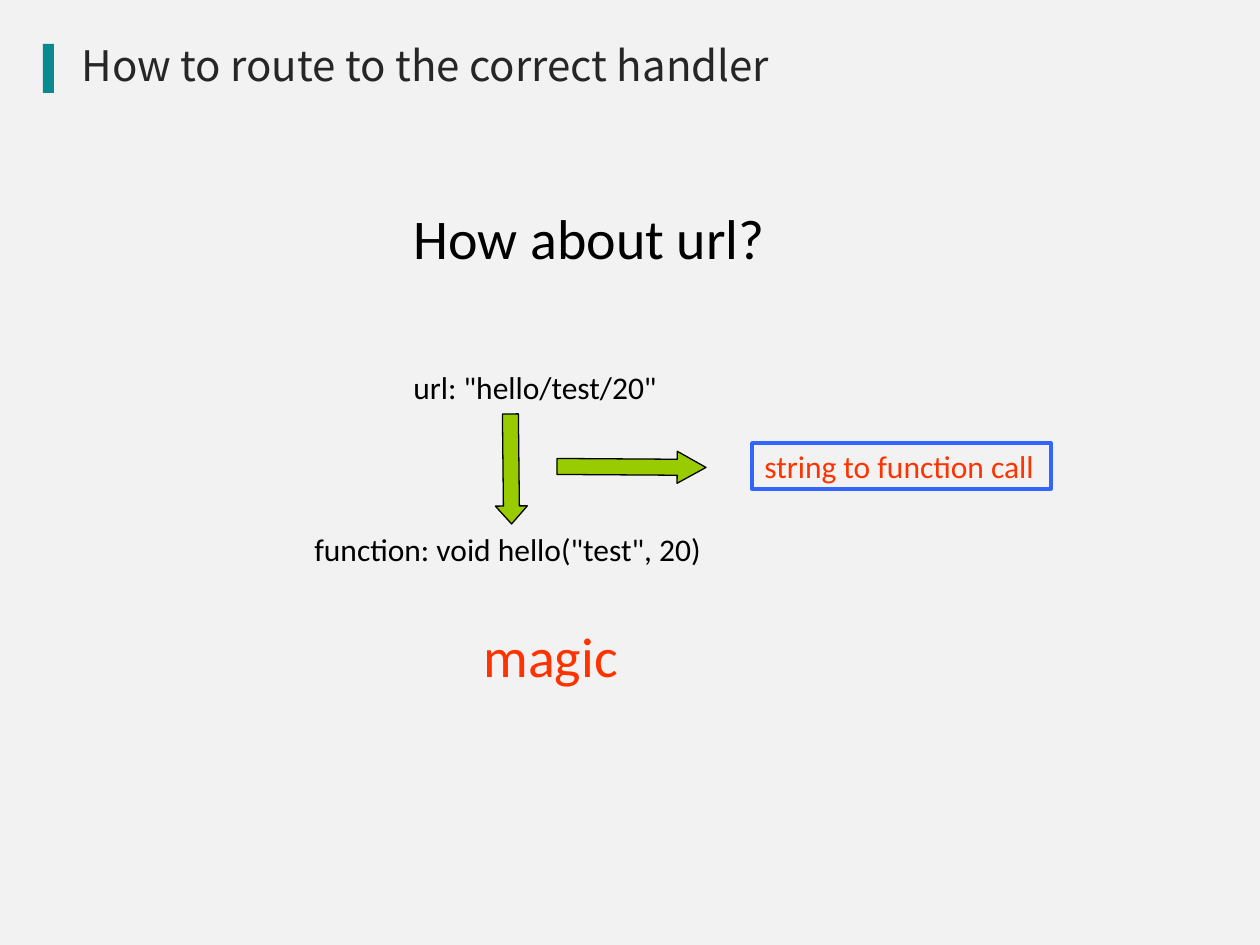
from dataclasses import dataclass

from pptx import Presentation
from pptx import util as u
from pptx.dml.color import RGBColor
from pptx.enum import shapes, text

PX_PER_INCH = 126
BACKGROUND = RGBColor(0xF2, 0xF2, 0xF2)
TEAL = RGBColor(0x09, 0x8A, 0x90)
DARK_GREY = RGBColor(0x26, 0x26, 0x26)
BLACK = RGBColor(0x00, 0x00, 0x00)
GREEN = RGBColor(0x99, 0xCC, 0x00)
RED = RGBColor(0xFF, 0x33, 0x00)
BLUE = RGBColor(0x33, 0x66, 0xFF)


@dataclass(frozen=True)
class Box:
    left: int
    top: int
    width: int
    height: int

    def emu(self) -> list[int]:
        return [px(n) for n in (self.left, self.top, self.width, self.height)]


@dataclass(frozen=True)
class Label:
    wording: str
    box: Box
    size: int
    color: RGBColor = BLACK
    wrap: bool = False


@dataclass(frozen=True)
class Arrow:
    box: Box
    rotation: float
    head_length: float


LABELS = [
    Label("How about url?", Box(401, 197, 381, 81), 32),
    Label('url: "hello/test/20"', Box(401, 362, 272, 50), 18),
    Label('function: void hello("test", 20)', Box(302, 524, 417, 50), 18),
    Label("string to function call", Box(752, 441, 325, 50), 18, RED, wrap=True),
    Label("magic", Box(471, 615, 174, 79), 32, RED),
]
ARROWS = [
    Arrow(Box(456, 453, 110, 32), 89.4, 0.56),
    Arrow(Box(557, 451, 149, 32), 0.4, 0.9),
]
TITLE_BOX = Box(69, 39, 926, 58)
TITLE_BAR = Box(43, 44, 11, 49)
CALL_FRAME = Box(752, 443, 299, 46)


def px(length: int) -> int:
    return round(length * u.Inches(1) / PX_PER_INCH)


def format_runs(paragraph, font_name: str, size: int, color: RGBColor) -> None:
    for run in paragraph.runs:
        run.font.name = font_name
        run.font.size = u.Pt(size)
        run.font.color.rgb = color


def add_preset(slide, kind, box: Box, fill: RGBColor | None = None,
               line: RGBColor | None = None, line_width: float = 0.75):
    """Add a preset shape; a missing colour means no fill or no line."""
    shape = slide.shapes.add_shape(kind, *box.emu())
    shape.shadow.inherit = False
    for paint, color in ((shape.fill, fill), (shape.line.fill, line)):
        if color is None:
            paint.background()
        else:
            paint.solid()
            paint.fore_color.rgb = color
    if line is not None:
        shape.line.width = u.Pt(line_width)
    return shape


def add_arrow(slide, arrow: Arrow) -> None:
    shape = add_preset(slide, shapes.MSO_SHAPE.RIGHT_ARROW, arrow.box, GREEN, BLACK)
    shape.adjustments[0] = 0.5
    shape.adjustments[1] = arrow.head_length
    shape.rotation = arrow.rotation


def add_label(slide, label: Label) -> None:
    frame = slide.shapes.add_textbox(*label.box.emu()).text_frame
    frame.text = label.wording
    frame.word_wrap = label.wrap
    frame.auto_size = text.MSO_AUTO_SIZE.SHAPE_TO_FIT_TEXT
    format_runs(frame.paragraphs[0], "Calibri", label.size, label.color)


def set_title(slide, wording: str) -> None:
    title = slide.shapes.title
    title.left, title.top, title.width, title.height = TITLE_BOX.emu()
    frame = title.text_frame
    frame.text = wording
    frame.word_wrap = True
    frame.auto_size = text.MSO_AUTO_SIZE.SHAPE_TO_FIT_TEXT
    frame.vertical_anchor = text.MSO_ANCHOR.MIDDLE
    paragraph = frame.paragraphs[0]
    paragraph.alignment = text.PP_ALIGN.LEFT
    paragraph.line_spacing = 0.9
    format_runs(paragraph, "Noto Sans CJK SC", 24, DARK_GREY)


def main() -> None:
    presentation = Presentation()
    presentation.slide_width = u.Inches(10)
    presentation.slide_height = u.Inches(7.5)
    slide = presentation.slides.add_slide(presentation.slide_layouts.get_by_name("Title Only"))
    slide.background.fill.solid()
    slide.background.fill.fore_color.rgb = BACKGROUND

    add_preset(slide, shapes.MSO_SHAPE.RECTANGLE, TITLE_BAR, fill=TEAL)
    set_title(slide, "How to route to the correct handler")
    for arrow in ARROWS:
        add_arrow(slide, arrow)
    for label in LABELS:
        add_label(slide, label)
    add_preset(slide, shapes.MSO_SHAPE.RECTANGLE, CALL_FRAME, line=BLUE, line_width=2)
    presentation.save("out.pptx")


if __name__ == "__main__":
    main()
